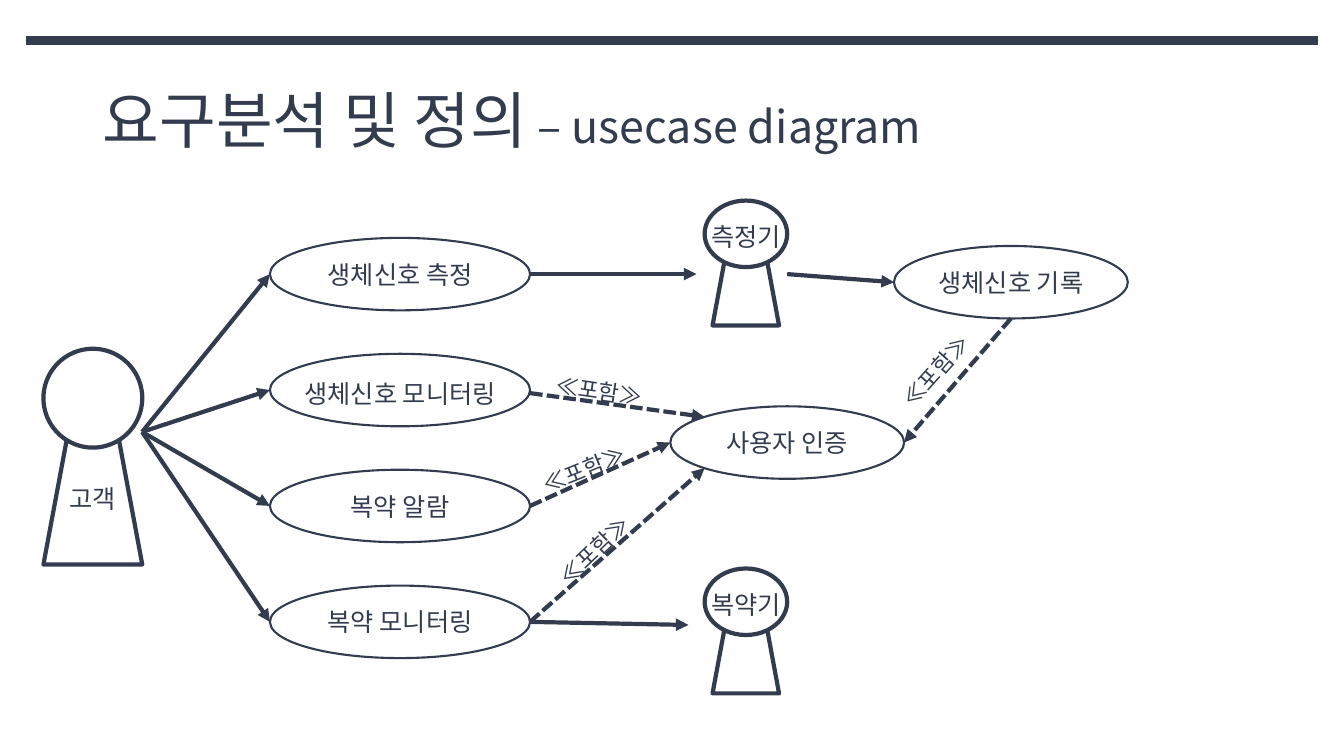
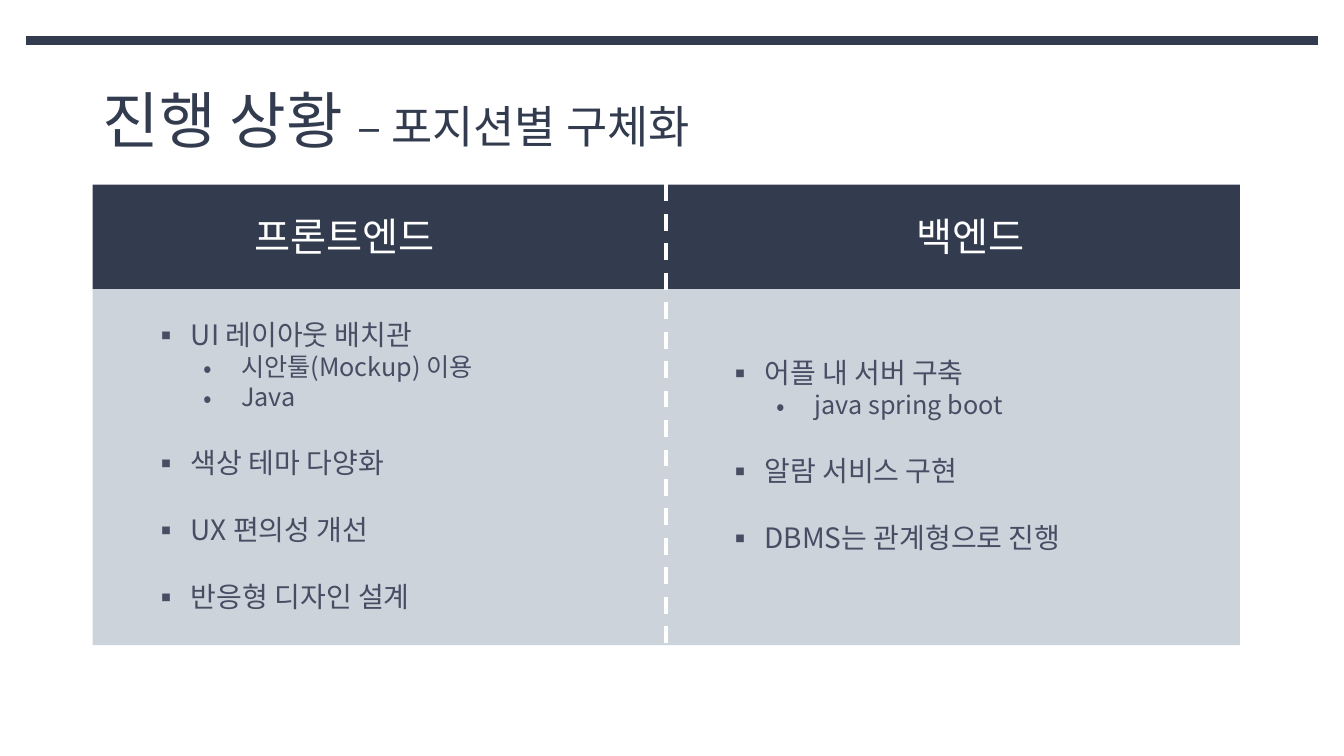
import pptx
import pptx.dml.color
import pptx.enum.dml
import pptx.enum.shapes
import pptx.enum.text
import pptx.oxml.ns
import pptx.util
from lxml import etree

Pt = pptx.util.Pt
RGBColor = pptx.dml.color.RGBColor
SHAPE = pptx.enum.shapes.MSO_SHAPE
DASH = pptx.enum.dml.MSO_LINE
ALIGN = pptx.enum.text.PP_ALIGN
ANCHOR = pptx.enum.text.MSO_ANCHOR
qn = pptx.oxml.ns.qn

NAVY = RGBColor(0x33, 0x3C, 0x4F)
SLATE = RGBColor(0x48, 0x4D, 0x64)
MIST = RGBColor(0xCC, 0xD3, 0xDA)
WHITE = RGBColor(0xFF, 0xFF, 0xFF)
FONT = "Noto Sans CJK KR"
LINE_HEIGHT = 1.2


class Deck:
    """Holds the shared style and the slide being filled."""

    def __init__(self):
        self.prs = pptx.Presentation()
        self.prs.slide_width, self.prs.slide_height = Pt(960), Pt(540)
        self.slide = None

    def new_slide(self, heading, subheading):
        self.slide = self.prs.slides.add_slide(self.prs.slide_layouts[5])
        title = self.slide.shapes.title
        title.left, title.top = Pt(66.2), Pt(32.4)
        title.width, title.height = Pt(828), Pt(104.4)
        frame = title.text_frame
        frame.word_wrap = True
        frame.auto_size = pptx.enum.text.MSO_AUTO_SIZE.NONE
        frame.vertical_anchor = ANCHOR.MIDDLE
        paragraph = frame.paragraphs[0]
        for words, size in ((heading, 44), (subheading, 32)):
            run = paragraph.add_run()
            run.text = words
            run.font.size = Pt(size)
        self.style(paragraph, 44, NAVY, ALIGN.LEFT)
        self.line((18.7, 28.8), (941.8, 28.8), width=6)

    def style(self, paragraph, size, color, align):
        paragraph.alignment = align
        paragraph.line_spacing = Pt(round(size * LINE_HEIGHT, 1))
        font = paragraph.font
        font.size, font.name = Pt(size), FONT
        font.color.rgb = color
        defaults = paragraph._p.pPr.find(qn("a:defRPr"))
        etree.SubElement(defaults, qn("a:ea"), typeface=FONT)

    def shape(self, kind, box, fill=WHITE, outline=None, text=None):
        shape = self.slide.shapes.add_shape(kind, *map(Pt, box))
        shape.shadow.inherit = False
        shape.fill.solid()
        shape.fill.fore_color.rgb = fill
        if outline:
            shape.line.color.rgb = NAVY
            shape.line.width = Pt(outline)
        else:
            shape.line.fill.background()
        if text:
            shape.text_frame.vertical_anchor = ANCHOR.MIDDLE
            shape.text_frame.text = text
            self.style(shape.text_frame.paragraphs[0], 18, NAVY, ALIGN.CENTER)

    def text_frame(self, box):
        holder = self.slide.shapes.add_textbox(*map(Pt, box))
        holder.text_frame.word_wrap = True
        return holder

    def label(self, text, box, size=18, color=NAVY, align=ALIGN.CENTER, rotation=0):
        holder = self.text_frame(box)
        holder.rotation = rotation
        holder.text_frame.text = text
        self.style(holder.text_frame.paragraphs[0], size, color, align)

    def bullets(self, items, box):
        """Write (level, text) items, with a free line between top-level groups."""
        frame = self.text_frame(box).text_frame
        for index, (level, text) in enumerate(items):
            paragraph = frame.add_paragraph() if index else frame.paragraphs[0]
            paragraph.text = text
            paragraph.level = level
            properties = paragraph._p.get_or_add_pPr()
            properties.set("marL", str(Pt(27 + 36 * level)))
            properties.set("indent", str(-Pt(27)))
            etree.SubElement(properties, qn("a:buFont"), typeface=FONT)
            etree.SubElement(properties, qn("a:buChar"), char="▪•"[level])
            if index and level == 0:
                paragraph.space_before = Pt(24)
            self.style(paragraph, 18 if level else 20, SLATE, ALIGN.LEFT)

    def line(self, start, end, width=3, color=NAVY, dash=None, arrow=False):
        connector = self.slide.shapes.add_connector(
            pptx.enum.shapes.MSO_CONNECTOR.STRAIGHT, *map(Pt, start + end))
        connector.line.color.rgb = color
        connector.line.width = Pt(width)
        if dash:
            connector.line.dash_style = dash
        properties = connector._element.spPr
        if arrow:
            etree.SubElement(properties.find(qn("a:ln")), qn("a:tailEnd"), type="triangle")
        etree.SubElement(properties, qn("a:effectLst"))

    def use_case(self, box, text=None):
        self.shape(SHAPE.OVAL, box, outline=1.5, text=text)

    def actor(self, name, body, head, name_box):
        self.shape(SHAPE.TRAPEZOID, body, outline=3)
        self.shape(SHAPE.OVAL, head, outline=3)
        self.label(name, name_box)


def use_case_slide(deck):
    deck.new_slide("요구분석 및 정의", " – usecase diagram")
    deck.actor("고객", (31, 308.9, 70.6, 94.3), (31, 249.1, 70.6, 70.6),
               (31, 342, 70.6, 28.8))

    case_left, case_width, case_height = 192.8, 185.8, 51.8
    case_right = case_left + case_width
    case_tops = [169.9 + 82.8 * row for row in range(4)]
    case_names = ("생체신호 측정", None, "복약 알람", "복약 모니터링")
    for top, name in zip(case_tops, case_names):
        deck.use_case((case_left, top, case_width, case_height), name)
    deck.label("생체신호 모니터링", (case_left, 266.4, case_width, 28.8))

    for name, top in (("측정기", 143.3), ("복약기", 406.1)):
        deck.actor(name, (509, top + 25.2, 47.5, 64), (503.3, top, 59, 47.5),
                   (497.5, top + 11.5, 70.6, 28.8))
    deck.use_case((478.8, 290.2, 167, case_height), "사용자 인증")
    deck.use_case((638.6, 175.7, 167, case_height), "생체신호 기록")

    measure, monitor, alarm, dose = [top + case_height / 2 for top in case_tops]
    for middle in (measure, monitor, alarm, dose):
        deck.line((101.5, 308.5), (case_left, middle), arrow=True)
    for start, end in (
        ((case_right, measure), (497.5, measure)),
        ((562.3, measure), (638.6, 201.6)),
        ((case_right, dose), (491.8, 446.4)),
    ):
        deck.line(start, end, arrow=True)

    for start, end, label_place, rotation in (
        ((case_right, 280.8), (503.3, 297.8), (390.2, 265.7), 8),
        ((case_right, alarm), (478.8, 316.1), (379.4, 321.8), 338),
        ((case_right, dose), (503.3, 334.4), (386.6, 379.4), 316.2),
        ((722.1, 227.5), (645.8, 316.1), (630.7, 251.3), 311.8),
    ):
        deck.line(start, end, dash=DASH.SQUARE_DOT, arrow=True)
        deck.label("≪포함≫", label_place + (76.3, 26.6), 16,
                   align=ALIGN.LEFT, rotation=rotation)


def progress_slide(deck):
    deck.new_slide("진행 상황 ", "– 포지션별 구체화")
    left, split, right = 66.2, 438.5, 885.6
    top, body_top, bottom = 131.8, 206.6, 460.8
    deck.shape(SHAPE.RECTANGLE, (left, top, right - left, body_top - top), NAVY)

    frontend = ((0, "UI 레이아웃 배치관"), (1, "시안툴(Mockup) 이용"), (1, "Java"),
                (0, "색상 테마 다양화"), (0, "UX 편의성 개선"), (0, "반응형 디자인 설계"))
    backend = ((0, "어플 내 서버 구축"), (1, "java spring boot"),
               (0, "알람 서비스 구현"), (0, "DBMS는 관계형으로 진행"))
    for name, start, end, name_left, items, items_box in (
        ("프론트엔드", left, split, 105.1, frontend, (102.2, 223.2, 342, 247)),
        ("백엔드", split, right, 552.2, backend, (511.9, 250.6, 360.7, 177.1)),
    ):
        deck.shape(SHAPE.RECTANGLE, (start, body_top, end - start, bottom - body_top), MIST)
        deck.label(name, (name_left, 148.3, 282.2, 41), 28, WHITE)
        deck.bullets(items, items_box)
    deck.line((475.6, top), (475.6, bottom), color=WHITE, dash=DASH.DASH)


def main():
    deck = Deck()
    use_case_slide(deck)
    progress_slide(deck)
    deck.prs.save("out.pptx")


if __name__ == "__main__":
    main()
